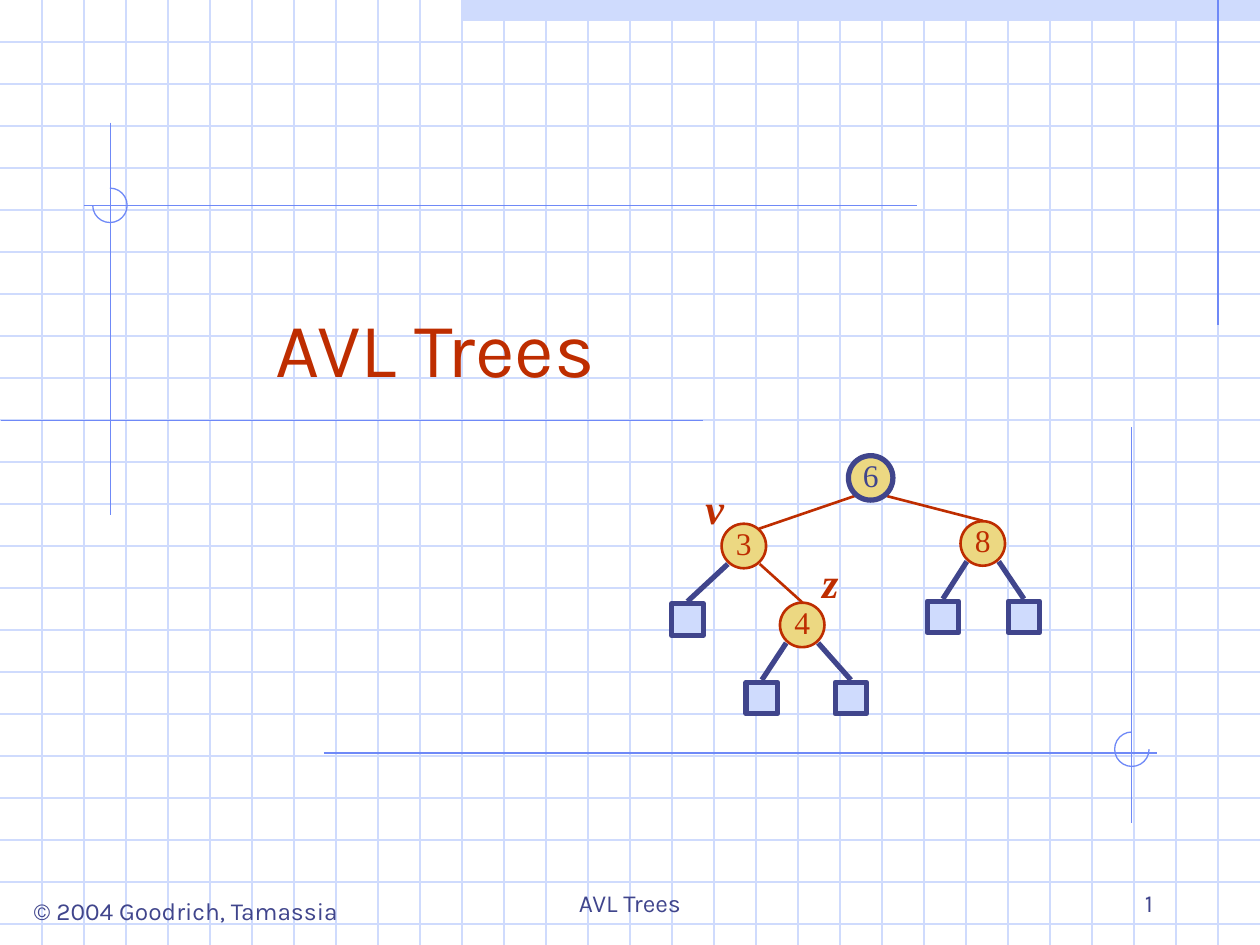
from dataclasses import dataclass
from typing import NamedTuple, Optional

from lxml.etree import SubElement
from pptx import Presentation
from pptx.dml.color import RGBColor
from pptx.enum.shapes import MSO_CONNECTOR, MSO_SHAPE
from pptx.enum.text import MSO_ANCHOR, MSO_AUTO_SIZE, PP_ALIGN
from pptx.oxml.ns import qn
from pptx.util import Inches, Pt

COLUMNS, ROWS = 30, 22.5
NODE_SIZE, LEAF_SIZE, ARC_SIZE = 1.06, 0.75, 0.82
EDGE_EXIT = (0.38, 0.43)
LEAF_ENTRY = (0, -0.43)
TOP_ENTRY = (0, -0.54)
CORNER_ENTRY = (0.36, -0.41)


@dataclass(frozen=True)
class Theme:
    sans: str = "Karla"
    serif: str = "Times New Roman"
    pale: RGBColor = RGBColor(0xCF, 0xDB, 0xFD)
    blue: RGBColor = RGBColor(0x6F, 0x89, 0xF7)
    navy: RGBColor = RGBColor(0x40, 0x45, 0x8C)
    rust: RGBColor = RGBColor(0xBE, 0x2D, 0x00)
    gold: RGBColor = RGBColor(0xEC, 0xD8, 0x82)
    title_size: int = 44
    label_size: int = 24
    key_size: int = 18
    footer_size: int = 14
    hairline: float = 0.75
    thin: float = 1.5
    thick: float = 3


THEME = Theme()


class Area(NamedTuple):
    column: float
    row: float
    width: float
    height: float


class Segment(NamedTuple):
    start_column: float
    start_row: float
    end_column: float
    end_row: float


class Corner(NamedTuple):
    column: float
    row: float
    start_degrees: float
    end_degrees: float


class Node(NamedTuple):
    key: str
    column: float
    row: float
    parent: Optional[str] = None
    entry: tuple = TOP_ENTRY


class Leaf(NamedTuple):
    column: float
    row: float
    parent: str


class Label(NamedTuple):
    text: str
    area: Area
    align: PP_ALIGN = PP_ALIGN.CENTER
    anchor: MSO_ANCHOR = MSO_ANCHOR.BOTTOM
    wrap: bool = True


GUIDES = [
    Segment(29, 0, 29, 7.75),
    Segment(2.63, 2.92, 2.63, 12.26),
    Segment(0.03, 10.02, 16.74, 10.02),
    Segment(2, 4.89, 21.84, 4.89),
    Segment(7.71, 17.93, 27.54, 17.93),
    Segment(26.94, 10.17, 26.94, 19.6),
]
CORNERS = [Corner(2.62, 4.89, -90, 180), Corner(26.95, 17.84, 0, -90)]
NODES = [
    Node("6", 20.73, 11.38),
    Node("3", 17.71, 13, "6", CORNER_ENTRY),
    Node("8", 23.4, 12.94, "6"),
    Node("4", 19.1, 14.88, "3"),
]
LEAVES = [
    Leaf(16.37, 14.75, "3"),
    Leaf(22.45, 14.69, "8"),
    Leaf(24.38, 14.69, "8"),
    Leaf(18.14, 16.62, "4"),
    Leaf(20.26, 16.62, "4"),
]
MARKS = [
    Label("v", Area(16.5, 11.34, 1.02, 1.5), anchor=MSO_ANCHOR.TOP),
    Label("z", Area(19.26, 13.11, 1.02, 1.5), anchor=MSO_ANCHOR.TOP),
]
FOOTERS = [
    Label("© 2004 Goodrich, Tamassia", Area(0.36, 21.18, 8.13, 1.02),
          anchor=MSO_ANCHOR.TOP, wrap=False),
    Label("AVL Trees", Area(10.25, 20.5, 9.5, 1.5)),
    Label("1", Area(21.5, 20.5, 6.25, 1.5), PP_ALIGN.RIGHT),
]
TITLE_AREA = Area(6.25, 5.75, 11.5, 3.75)


def cells(count: float) -> int:
    return Inches(count / 3)


def place(area: Area) -> list:
    return [cells(value) for value in area]


def centred(column: float, row: float, size: float) -> Area:
    return Area(column - size / 2, row - size / 2, size, size)


def draw_line(page, segment: Segment, color: RGBColor, width: float) -> None:
    line = page.shapes.add_connector(MSO_CONNECTOR.STRAIGHT, *map(cells, segment))
    line.line.color.rgb = color
    line.line.width = Pt(width)
    SubElement(line.element.spPr, qn("a:effectLst"))


def draw_shape(page, kind: MSO_SHAPE, area: Area, fill: Optional[RGBColor] = None,
               outline: Optional[RGBColor] = None, width: float = 0):
    shape = page.shapes.add_shape(kind, *place(area))
    shape.shadow.inherit = False
    if fill is None:
        shape.fill.background()
    else:
        shape.fill.solid()
        shape.fill.fore_color.rgb = fill
    if outline is None:
        shape.line.fill.background()
    else:
        shape.line.color.rgb = outline
        shape.line.width = Pt(width)
    return shape


def write(frame, text: str, align: PP_ALIGN, font: str, size: float,
          color: RGBColor, emphasis: bool = False) -> None:
    frame.text = text
    para = frame.paragraphs[0]
    para.alignment = align
    para.font.name = font
    para.font.size = Pt(size)
    para.font.color.rgb = color
    para.font.bold = para.font.italic = emphasis


def draw_label(page, label: Label, font: str, size: float,
               color: RGBColor, emphasis: bool = False) -> None:
    frame = page.shapes.add_textbox(*place(label.area)).text_frame
    frame.word_wrap = label.wrap
    frame.vertical_anchor = label.anchor
    write(frame, label.text, label.align, font, size, color, emphasis)


def draw_edge(page, parent: Node, column: float, row: float, entry: tuple,
              color: RGBColor, width: float) -> None:
    side = 1 if column > parent.column else -1
    segment = Segment(parent.column + side * EDGE_EXIT[0], parent.row + EDGE_EXIT[1],
                      column + entry[0], row + entry[1])
    draw_line(page, segment, color, width)


def draw_node(page, node: Node) -> None:
    color, width = (THEME.rust, THEME.thin) if node.parent else (THEME.navy, THEME.thick)
    circle = draw_shape(page, MSO_SHAPE.OVAL, centred(node.column, node.row, NODE_SIZE),
                        THEME.gold, color, width)
    frame = circle.text_frame
    frame.word_wrap = False
    frame.vertical_anchor = MSO_ANCHOR.MIDDLE
    frame.margin_left = frame.margin_right = frame.margin_top = 0
    frame.margin_bottom = Inches(0.05)
    write(frame, node.key, PP_ALIGN.CENTER, THEME.serif, THEME.key_size, color)


def draw_backdrop(page) -> None:
    draw_shape(page, MSO_SHAPE.RECTANGLE, Area(11, 0, 19, 0.5), THEME.pale)
    rules = [Segment(0, row, COLUMNS, row) for row in range(1, int(ROWS) + 1)]
    rules += [Segment(column, 0, column, ROWS) for column in range(1, COLUMNS)]
    for segment in rules:
        draw_line(page, segment, THEME.pale, THEME.hairline)
    for segment in GUIDES:
        draw_line(page, segment, THEME.blue, THEME.hairline)
    for corner in CORNERS:
        arc = draw_shape(page, MSO_SHAPE.ARC, centred(corner.column, corner.row, ARC_SIZE),
                         outline=THEME.blue, width=THEME.hairline)
        arc.adjustments[0] = corner.start_degrees % 360 * 0.6
        arc.adjustments[1] = corner.end_degrees % 360 * 0.6


def draw_title(page) -> None:
    title = page.shapes.title
    title.left, title.top, title.width, title.height = place(TITLE_AREA)
    title.text_frame.vertical_anchor = MSO_ANCHOR.BOTTOM
    title.text_frame.auto_size = MSO_AUTO_SIZE.NONE
    write(title.text_frame, "AVL Trees", PP_ALIGN.LEFT, THEME.sans,
          THEME.title_size, THEME.rust)
    title.element.getparent().append(title.element)


def draw_tree(page) -> None:
    by_key = {node.key: node for node in NODES}
    for node in NODES:
        if node.parent:
            draw_edge(page, by_key[node.parent], node.column, node.row, node.entry,
                      THEME.rust, THEME.thin)
    for leaf in LEAVES:
        draw_edge(page, by_key[leaf.parent], leaf.column, leaf.row, LEAF_ENTRY,
                  THEME.navy, THEME.thick)
        draw_shape(page, MSO_SHAPE.RECTANGLE, centred(leaf.column, leaf.row, LEAF_SIZE),
                   THEME.pale, THEME.navy, THEME.thick)
    for node in NODES:
        draw_node(page, node)
    for mark in MARKS:
        draw_label(page, mark, THEME.serif, THEME.label_size, THEME.rust, True)


def main() -> None:
    deck = Presentation()
    deck.slide_width, deck.slide_height = cells(COLUMNS), cells(ROWS)
    page = deck.slides.add_slide(deck.slide_layouts.get_by_name("Title Only"))
    draw_backdrop(page)
    for footer in FOOTERS:
        draw_label(page, footer, THEME.sans, THEME.footer_size, THEME.navy)
    draw_title(page)
    draw_tree(page)
    deck.save("out.pptx")


if __name__ == "__main__":
    main()
